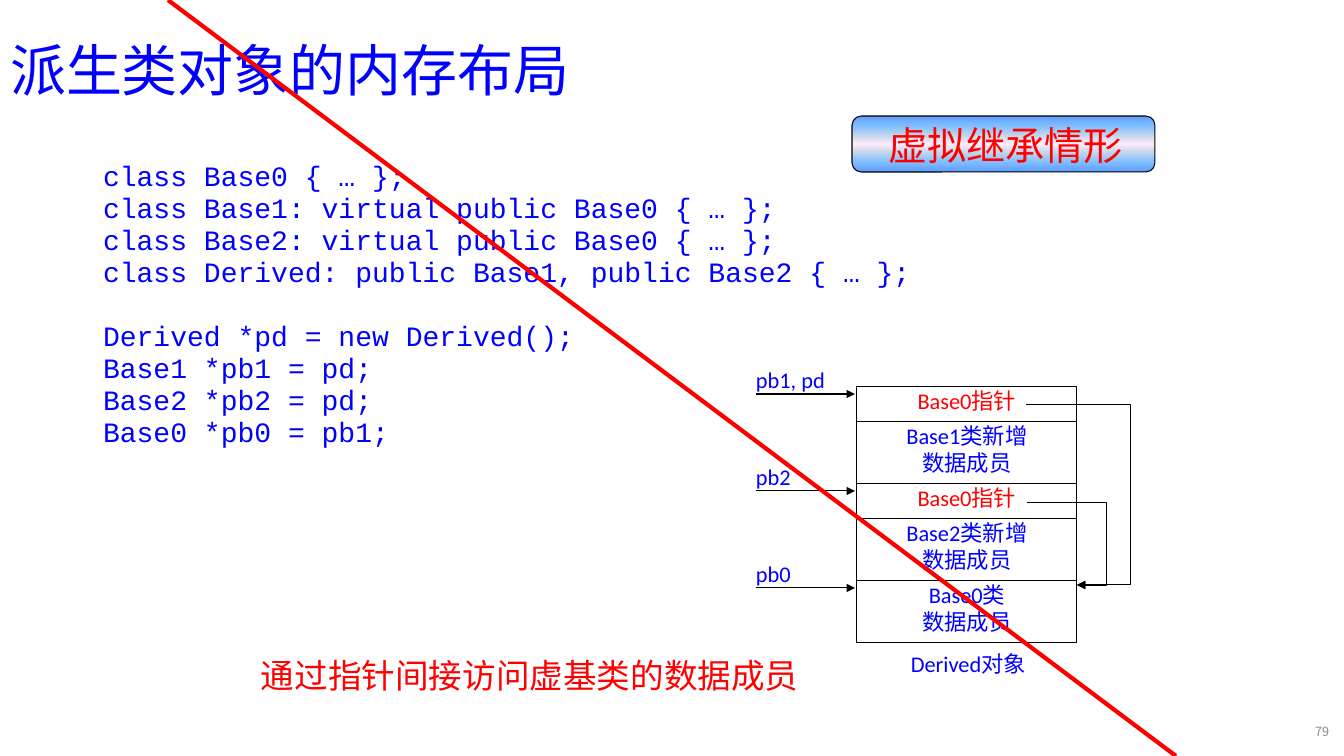
from lxml import etree
from pptx import Presentation
from pptx import util as u
from pptx.dml.color import RGBColor
from pptx.enum import shapes, text
from pptx.oxml.ns import qn

COLORS = {
    "blue": "0000FF", "red": "FF0000", "black": "000000", "gray": "8C8C8C",
    "edge": "5E9EFF", "sky": "85C2FF", "mist": "C4D6EB", "blush": "FFEBFA",
}
CJK = "Noto Sans CJK SC"
ALIGN = text.PP_ALIGN
SCALE = 12192000 / 1344


def write(box, place, words, size, font, color, align=ALIGN.LEFT, inset=None, anchor=text.MSO_ANCHOR.TOP):
    box.left, box.top, box.width, box.height = [u.Emu(round(n * SCALE)) for n in place]
    frame = box.text_frame
    frame.text = words
    frame.word_wrap = True
    frame.auto_size = text.MSO_AUTO_SIZE.NONE
    frame.vertical_anchor = anchor
    if inset is not None:
        frame.margin_left = frame.margin_top = frame.margin_right = frame.margin_bottom = inset
    for paragraph in frame.paragraphs:
        paragraph.alignment = align
        paragraph.font.size = u.Pt(size)
        paragraph.font.name = font
        paragraph.font.color.rgb = RGBColor.from_string(COLORS[color])
        defaults = paragraph._p.pPr.find(qn("a:defRPr"))
        etree.SubElement(defaults, qn("a:ea"), typeface=CJK)
    return frame


def connect(kind, ends, color="black", width=0.75, arrow=True):
    line = page.shapes.add_connector(kind, *[u.Emu(round(n * SCALE)) for n in ends])
    line.line.color.rgb = RGBColor.from_string(COLORS[color])
    line.line.width = u.Pt(width)
    if arrow:
        etree.SubElement(line.line._get_or_add_ln(), qn("a:tailEnd"), type="triangle")
    etree.SubElement(line._element.spPr, qn("a:effectLst"))
    return line


deck = Presentation()
deck.slide_width = u.Emu(round(1344 * SCALE))
deck.slide_height = u.Emu(round(756 * SCALE))
page = deck.slides.add_slide(deck.slide_layouts[1])
title, code = page.placeholders

badge = page.shapes.add_shape(
    shapes.MSO_SHAPE.ROUNDED_RECTANGLE, *[u.Emu(round(n * SCALE)) for n in (852, 116, 303, 56)])
badge.shadow.inherit = False
badge.line.color.rgb = RGBColor.from_string(COLORS["black"])
badge.line.width = u.Pt(0.75)
badge.fill.gradient()
badge.fill.gradient_angle = 90
stops = badge._element.spPr.find(qn("a:gradFill")).find(qn("a:gsLst"))
for stop in list(stops):
    stops.remove(stop)
for percent, name in zip((0, 20, 35, 50, 65, 80, 100),
                         ("edge", "sky", "mist", "blush", "mist", "sky", "edge")):
    stop = etree.SubElement(stops, qn("a:gs"), pos=str(percent * 1000))
    etree.SubElement(stop, qn("a:srgbClr"), val=COLORS[name])
write(page.shapes.add_textbox(0, 0, 0, 0), (855, 116, 301, 45), "虚拟继承情形", 28, "Arial", "red", ALIGN.CENTER)

heading = write(title, (0, 0, 1159, 146), "派生类对象的内存布局", 40, CJK, "blue",
                anchor=text.MSO_ANCHOR.MIDDLE)
heading.paragraphs[0].line_spacing = 0.9

code_lines = [
    "class Base0 { … };",
    "class Base1: virtual public Base0 { … };",
    "class Base2: virtual public Base0 { … };",
    "class Derived: public Base1, public Base2 { … };",
    "Derived *pd = new Derived();",
    "Base1 *pb1 = pd;",
    "Base2 *pb2 = pd;",
    "Base0 *pb0 = pb1;",
]
code.text_frame.text = "\n".join(code_lines)
listing = write(code, (93, 156, 1159, 525), "\n".join(code_lines), 20, "Courier New", "blue")
for paragraph in listing.paragraphs:
    properties = paragraph._p.pPr
    properties.set("marL", "0")
    properties.set("indent", "0")
    properties.insert(0, etree.Element(qn("a:buNone")))
    paragraph.line_spacing = 0.95
    paragraph.space_before = u.Pt(23 if paragraph.text.startswith("Derived") else 0)

caption = write(page.shapes.add_textbox(0, 0, 0, 0), (251, 650, 563, 51),
                "通过指针间接访问虚基类的数据成员", 24, "Times New Roman", "red")
caption.word_wrap = False

top = 387
for words, height, color, pointer in [
    ("Base0指针", 35, "red", "pb1, pd"),
    ("Base1类新增\n数据成员", 62, "blue", None),
    ("Base0指针", 35, "red", "pb2"),
    ("Base2类新增\n数据成员", 62, "blue", None),
    ("Base0类\v数据成员", 62, "blue", "pb0"),
]:
    cell = page.shapes.add_shape(shapes.MSO_SHAPE.RECTANGLE, 0, 0, 0, 0)
    cell.shadow.inherit = False
    cell.fill.background()
    cell.line.color.rgb = RGBColor.from_string(COLORS["black"])
    cell.line.width = u.Pt(0.75)
    write(cell, (857, top, 220, height), words, 16, "Calibri", color, ALIGN.CENTER, 0)
    if pointer:
        write(page.shapes.add_textbox(0, 0, 0, 0), (756, top - 21, 116, 32),
              pointer, 16, "Calibri", "blue", ALIGN.JUSTIFY, 0)
        connect(shapes.MSO_CONNECTOR.STRAIGHT, (756, top + 7, 855, top + 7))
    top += height
write(page.shapes.add_textbox(0, 0, 0, 0), (900, 650, 137, 32), "Derived对象", 16, "Calibri", "blue", ALIGN.CENTER, 0)

for start_x, start_y, bend_x in [(1026, 405, 1131), (1027, 502, 1107)]:
    elbow = connect(shapes.MSO_CONNECTOR.ELBOW, (start_x, start_y, 1077, 585))
    bend = round((bend_x - start_x) / (1077 - start_x) * 100000)
    guides = elbow._element.spPr.find(qn("a:prstGeom")).find(qn("a:avLst"))
    etree.SubElement(guides, qn("a:gd"), name="adj1", fmla=f"val {bend}")

connect(shapes.MSO_CONNECTOR.STRAIGHT, (168, 0, 1176, 756), "red", 3, False)
write(page.shapes.add_textbox(0, 0, 0, 0), (1299, 712, 40, 40), "79", 9, CJK, "gray", ALIGN.RIGHT,
      anchor=text.MSO_ANCHOR.MIDDLE)

deck.save("out.pptx")
